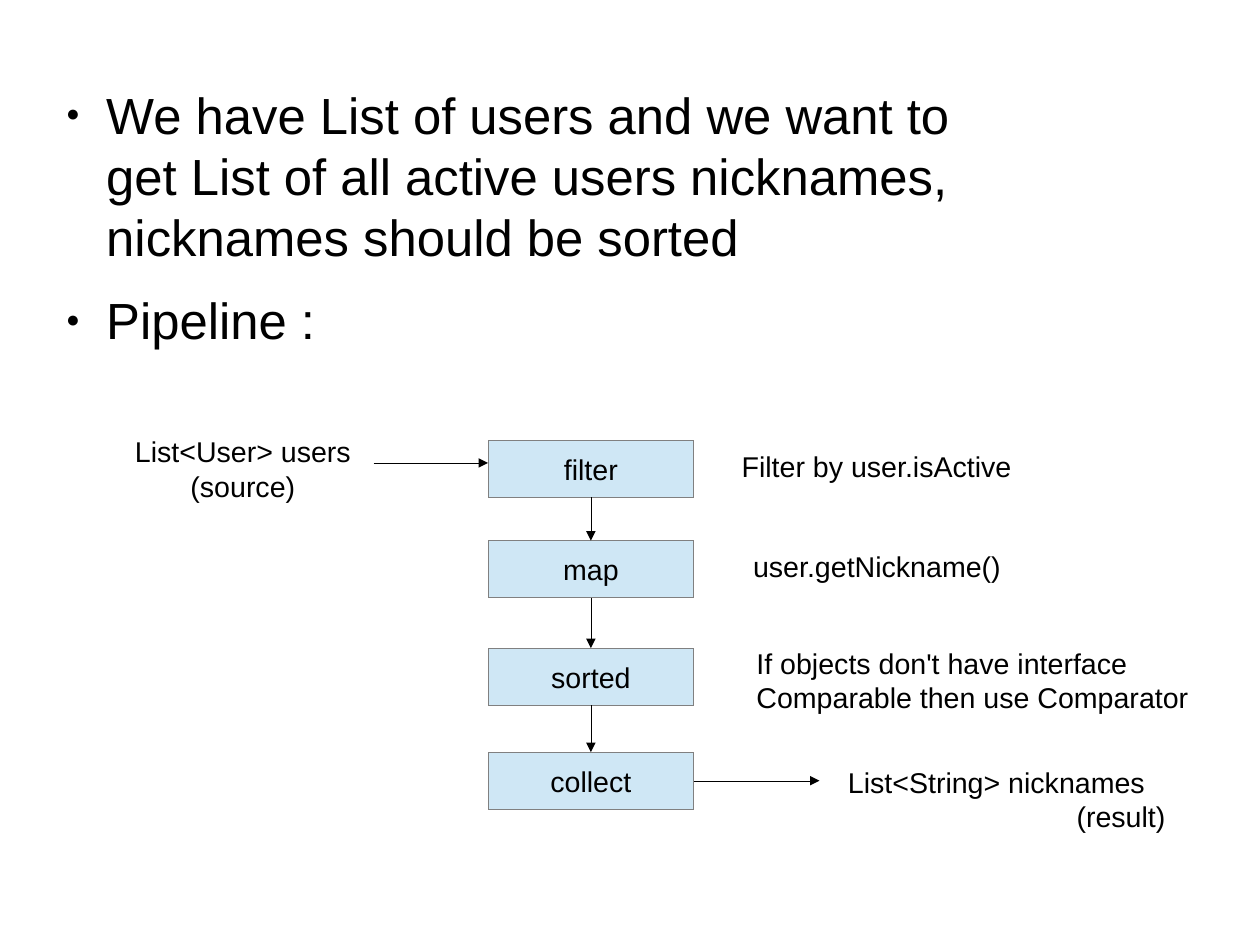
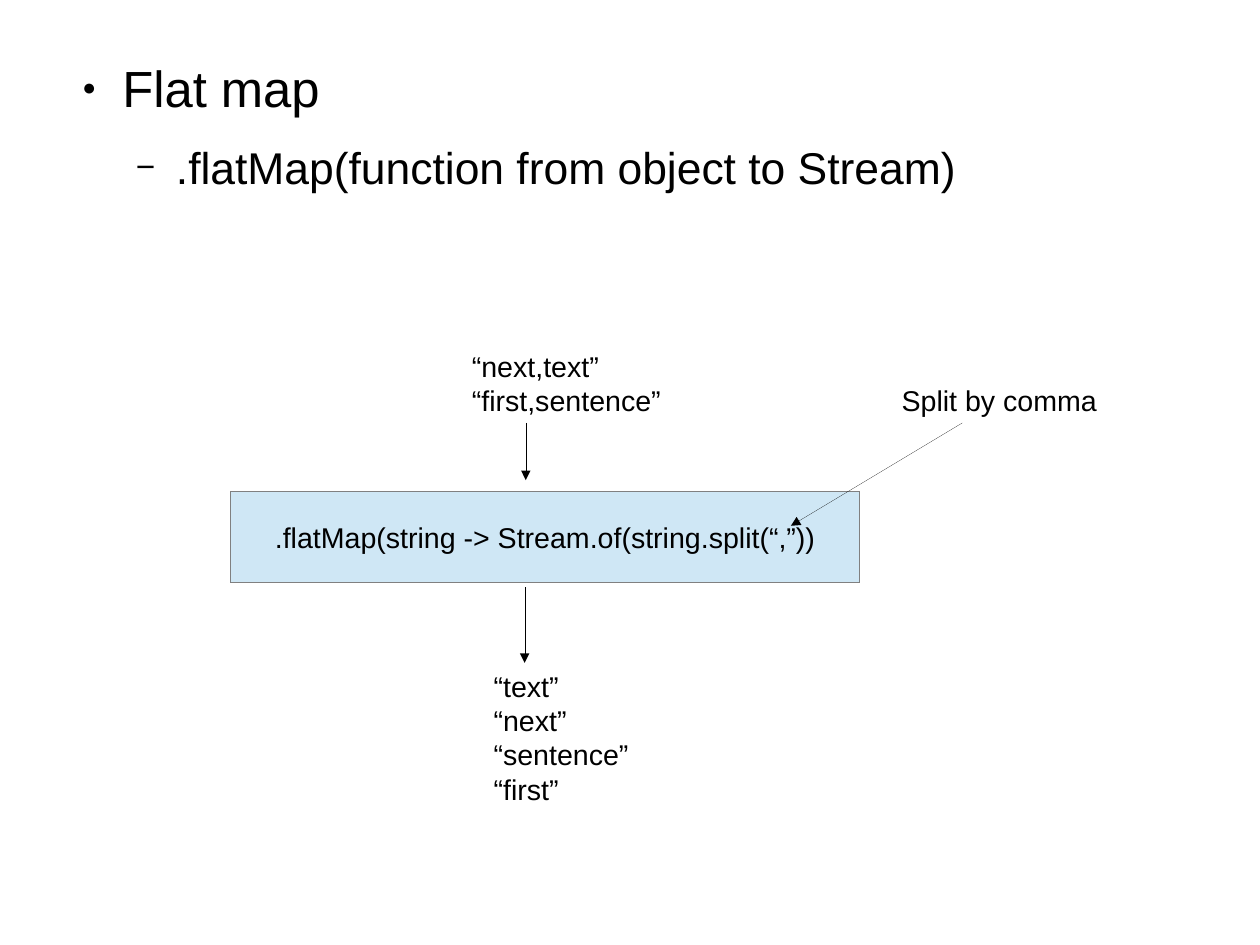
from dataclasses import dataclass
from itertools import pairwise
from lxml.etree import SubElement as Sub
from pptx import Presentation
from pptx.dml.color import RGBColor as RGB
from pptx.enum.shapes import MSO_CONNECTOR as Link, MSO_SHAPE as Shape
from pptx.enum.text import MSO_ANCHOR as Anchor, PP_ALIGN as Align
from pptx.oxml.ns import qn
from pptx.util import Inches, Pt


@dataclass(frozen=True)
class Theme:
    font: str = "Arial"
    ink: str = "000000"
    fill: str = "CFE7F5"
    edge: str = "808080"
    page: str = "FFFFFF"
    size: int = 18
    hair: int = 0


THEME = Theme()
SIZE = (28 / 2.54, 21 / 2.54)  # a page of 28 by 21 cm
PAD = (0.1, 0.05)

# Bullet levels: type size, left margin, space after, sign, sign size in %
LEVELS = [
    dict(size=32, left=0.47, after=14.1, sign="●", scale=45),
    dict(size=28, left=0.94, after=11.3, sign="−", scale=75),
]
HANG = -0.35

# Content: bullets are (level, text); notes are (area, lines, format);
# boxes are (area, text); arrows are (from, to)
STEP = dict(left=4.27, width=1.8, height=0.5)
STEPS = [(3.85, "filter"), (4.73, "map"), (5.67, "sorted"), (6.58, "collect")]

PIPE = dict(
    area=(0.46, 0.73, 8.44, 2.19),
    bullets=[
        (0, "We have List of users and we want to get List of all active "
            "users nicknames, nicknames should be sorted"),
        (0, "Pipeline :"),
    ],
    boxes=[((STEP["left"], top, STEP["width"], STEP["height"]), name)
           for top, name in STEPS],
    notes=[
        ((0.98, 3.75, 2.29, 0.66), ["List<User> users", "(source)"],
         dict(alignment=Align.CENTER)),
        ((6.39, 3.88, 2.8, 0.38), ["Filter by user.isActive"], {}),
        ((6.49, 4.75, 2.38, 0.38), ["user.getNickname()"], {}),
        ((7.32, 6.64, 3.28, 0.66), ["List<String> nicknames", "(result)"],
         dict(last=2.0)),
        ((6.52, 5.6, 4.5, 0.8),
         ["If objects don't have interface Comparable then use Comparator"], {}),
    ],
    arrows=[((3.27, 4.05), (4.27, 4.05))],
)

FLAT = dict(
    area=(0.6, 0.5, 8.44, 1.78),
    bullets=[(0, "Flat map"), (1, ".flatMap(function from object to Stream)")],
    boxes=[((2.02, 4.3, 5.5, 0.8),
            ".flatMap(string -> Stream.of(string.split(“,”))")],
    notes=[
        ((4.03, 3.0, 2.29, 0.94), ["“next,text”", "“first,sentence”"], {}),
        ((4.22, 5.8, 1.79, 1.22),
         ["“text”", "“next”", "“sentence”", "“first”"], {}),
        ((7.79, 3.3, 2.2, 0.38), ["Split by comma"], {}),
    ],
    arrows=[((4.6, 3.7), (4.6, 4.2)), ((4.59, 5.14), (4.59, 5.8)),
            ((8.42, 3.7), (6.92, 4.6))],
)


# Helpers
def place(nums):
    return [Inches(n) for n in nums]


def apply(item, values):
    for key, value in values.items():
        setattr(item, key, value)


def frame(shape, pad, anchor):
    side, edge = place(pad)
    apply(shape.text_frame, dict(
        word_wrap=True, vertical_anchor=anchor, margin_left=side,
        margin_right=side, margin_top=edge, margin_bottom=edge))
    return shape.text_frame


def write(text, lines, **form):
    """Fill a text frame and return its paragraphs."""
    text.text = "\n".join(lines)
    for para in text.paragraphs:
        apply(para, form)
        for run in para.runs:
            apply(run.font, dict(name=THEME.font, size=Pt(THEME.size)))
            run.font.color.rgb = RGB.from_string(THEME.ink)
    return text.paragraphs


def indent(para, left, hang=0):
    props = para._p.get_or_add_pPr()
    props.set("marL", str(Inches(left)))
    props.set("indent", str(Inches(hang)))
    return props


def stroke(shape, color):
    """Draw a hairline; a width of 0 has to be written out."""
    shape.line.color.rgb = RGB.from_string(color)
    line = shape.line._get_or_add_ln()
    line.set("w", str(Pt(THEME.hair)))
    return line


def add_list(slide, area, items):
    text = frame(slide.shapes.add_textbox(*place(area)), (0, 0), Anchor.TOP)
    paras = write(text, [line for _, line in items])
    for para, (depth, _) in zip(paras, items):
        level = LEVELS[depth]
        apply(para, dict(level=depth, space_after=Pt(level["after"])))
        para.runs[0].font.size = Pt(level["size"])
        props = indent(para, level["left"], HANG)
        tint = Sub(props, qn("a:buClr"))
        Sub(tint, qn("a:srgbClr"), val=THEME.ink)
        Sub(props, qn("a:buSzPct"), val=str(level["scale"] * 1000))
        Sub(props, qn("a:buFont"), typeface=THEME.font)
        Sub(props, qn("a:buChar"), char=level["sign"])


def add_note(slide, area, lines, form):
    text = frame(slide.shapes.add_textbox(*place(area)), PAD, Anchor.TOP)
    form = dict(form)
    last = form.pop("last", 0)
    paras = write(text, lines, **form)
    if last:
        indent(paras[-1], last)


def add_box(slide, area, name):
    box = slide.shapes.add_shape(Shape.RECTANGLE, *place(area))
    box.shadow.inherit = False
    box.fill.solid()
    box.fill.fore_color.rgb = RGB.from_string(THEME.fill)
    stroke(box, THEME.edge)
    write(frame(box, PAD, Anchor.MIDDLE), [name], alignment=Align.CENTER)
    return box


def add_arrow(slide, start=(0, 0), end=(0, 0)):
    arrow = slide.shapes.add_connector(
        Link.STRAIGHT, *place(start), *place(end))
    Sub(stroke(arrow, THEME.ink), qn("a:tailEnd"), type="triangle")
    Sub(arrow._element.spPr, qn("a:effectLst"))
    return arrow


def build(deck, data):
    """Draw one slide and return it with its boxes."""
    slide = deck.slides.add_slide(deck.slide_layouts[6])
    slide.background.fill.solid()
    slide.background.fill.fore_color.rgb = RGB.from_string(THEME.page)
    add_list(slide, data["area"], data["bullets"])
    boxes = [add_box(slide, *box) for box in data["boxes"]]
    for note in data["notes"]:
        add_note(slide, *note)
    for ends in data["arrows"]:
        add_arrow(slide, *ends)
    return slide, boxes


def main():
    deck = Presentation()
    deck.slide_width, deck.slide_height = place(SIZE)

    # Pipeline: each step leads to the next, the last one to the result
    slide, steps = build(deck, PIPE)
    for upper, lower in pairwise(steps):
        arrow = add_arrow(slide)
        arrow.begin_connect(upper, 2)
        arrow.end_connect(lower, 0)
    right = STEP["left"] + STEP["width"]
    mid = STEPS[-1][0] + STEP["height"] / 2
    add_arrow(slide, (right, mid), (right + 1.1, mid)).begin_connect(steps[-1], 3)

    # Flat map
    build(deck, FLAT)
    deck.save("out.pptx")


if __name__ == "__main__":
    main()
